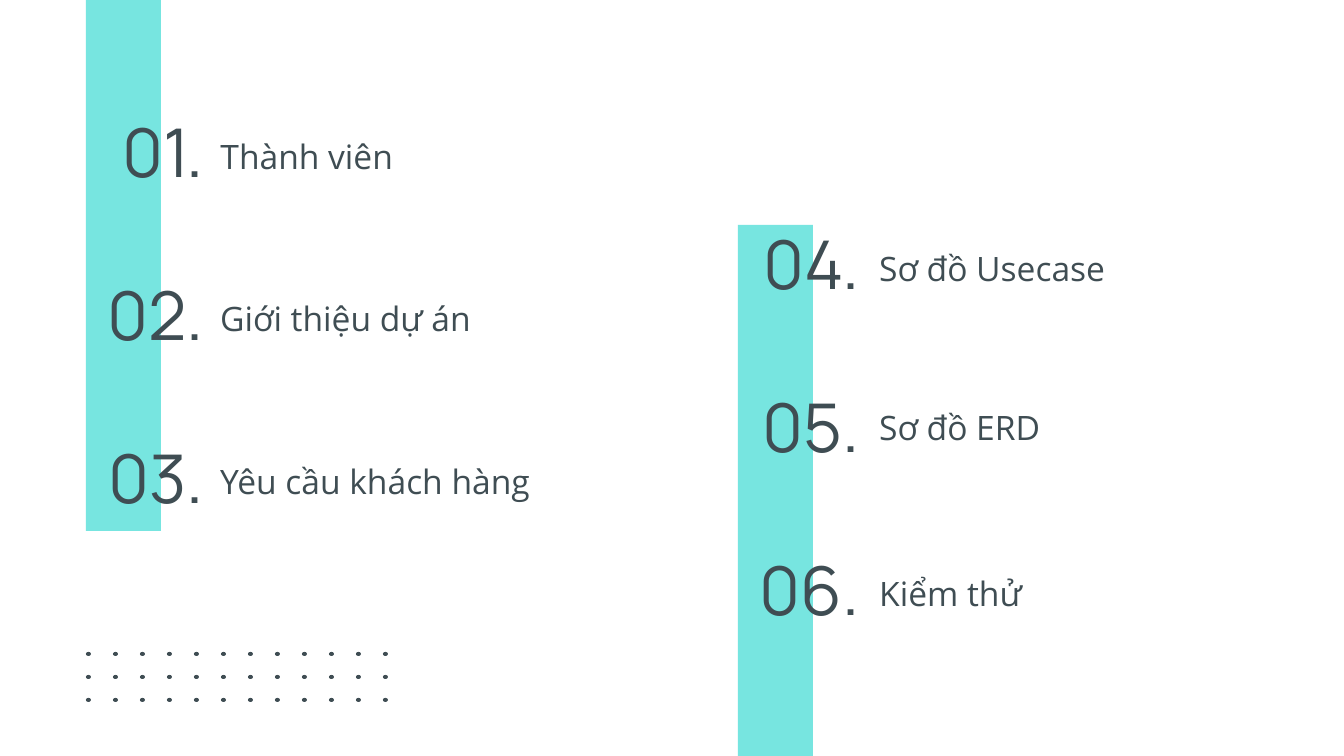
import pptx
import pptx.dml.color
import pptx.enum.shapes
import pptx.enum.text
import pptx.util

PX = 914400 / 134.4
TEAL, SLATE = "77E5E0", "3F4D53"
SHAPE = pptx.enum.shapes.MSO_SHAPE
ALIGN = pptx.enum.text.PP_ALIGN
ANCHOR = pptx.enum.text.MSO_ANCHOR
PITCH = 163
LABEL = {"font": {"name": "Open Sans", "size": pptx.util.Pt(18)},
         "align": ALIGN.LEFT, "anchor": ANCHOR.TOP}
NUMBER = {"font": {"name": "Manrope", "size": pptx.util.Pt(36)},
          "align": ALIGN.RIGHT, "anchor": ANCHOR.BOTTOM}
COLUMNS = [
    {"bar": (86, 0), "number": (23, 125), "label_x": 207,
     "items": [("Thành viên", 122), ("Giới thiệu dự án", 285),
               ("Yêu cầu khách hàng", 448)]},
    {"bar": (738, 225), "number": (679, 237), "label_x": 866,
     "items": [("Sơ đồ Usecase", 235), ("Sơ đồ ERD", 394),
               ("Kiểm thử", 560)]},
]


def px(n):
    """Turn pixels into EMU."""
    return pptx.util.Emu(round(n * PX))


def paint(fill, color):
    """Apply a solid hex colour to a fill."""
    fill.solid()
    fill.fore_color.rgb = pptx.dml.color.RGBColor.from_string(color)


def set_all(obj, values):
    """Set each named attribute on an object."""
    for name, value in values.items():
        setattr(obj, name, value)


def add_shape(shapes, kind, box, color):
    """Add a plain filled preset shape."""
    sp = shapes.add_shape(kind, *map(px, box))
    sp.shadow.inherit = False
    paint(sp.fill, color)
    sp.line.fill.background()


def write_text(sp, text, style, box):
    """Place a text shape and format its single line."""
    set_all(sp, dict(zip(("left", "top", "width", "height"), map(px, box))))
    tf = sp.text_frame
    set_all(tf, {"word_wrap": True, "vertical_anchor": style["anchor"],
                 "auto_size": pptx.enum.text.MSO_AUTO_SIZE.NONE})
    for side in ("left", "top", "right", "bottom"):
        setattr(tf, f"margin_{side}", pptx.util.Inches(0.1))
    p = tf.paragraphs[0]
    p.alignment = style["align"]
    r = p.add_run()
    r.text = text
    set_all(r.font, style["font"])
    paint(r.font.fill, SLATE)


def add_text(s, text, style, box):
    """Add a text box with one styled line."""
    write_text(s.shapes.add_textbox(0, 0, 0, 0), text, style, box)


def add_dots(s, left, top, cols, rows):
    """Add a grouped grid of small dots."""
    group = s.shapes.add_group_shape()
    for row in range(rows):
        for col in range(cols):
            box = (left + 27 * col, top + 23 * row, 5, 4)
            add_shape(group.shapes, SHAPE.OVAL, box, SLATE)


def main():
    """Build the agenda slide."""
    prs = pptx.Presentation()
    prs.slide_width, prs.slide_height = px(1344), px(756)
    s = prs.slides.add_slide(prs.slide_layouts[5])
    paint(s.background.fill, "FFFFFF")
    for column in COLUMNS:
        add_shape(s.shapes, SHAPE.RECTANGLE, (*column["bar"], 75, 531), TEAL)
    count = 0
    for column in COLUMNS:
        x, y = column["number"]
        for i, (text, top) in enumerate(column["items"]):
            count += 1
            add_text(s, f"{count:02}.", NUMBER, (x, y + PITCH * i, 194, 79))
            box = (column["label_x"], top, 405, 65)
            if count == 1:
                write_text(s.shapes.title, text, LABEL, box)
            else:
                add_text(s, text, LABEL, box)
    add_dots(s, 86, 652, 12, 3)
    prs.save("out.pptx")


if __name__ == "__main__":
    main()
